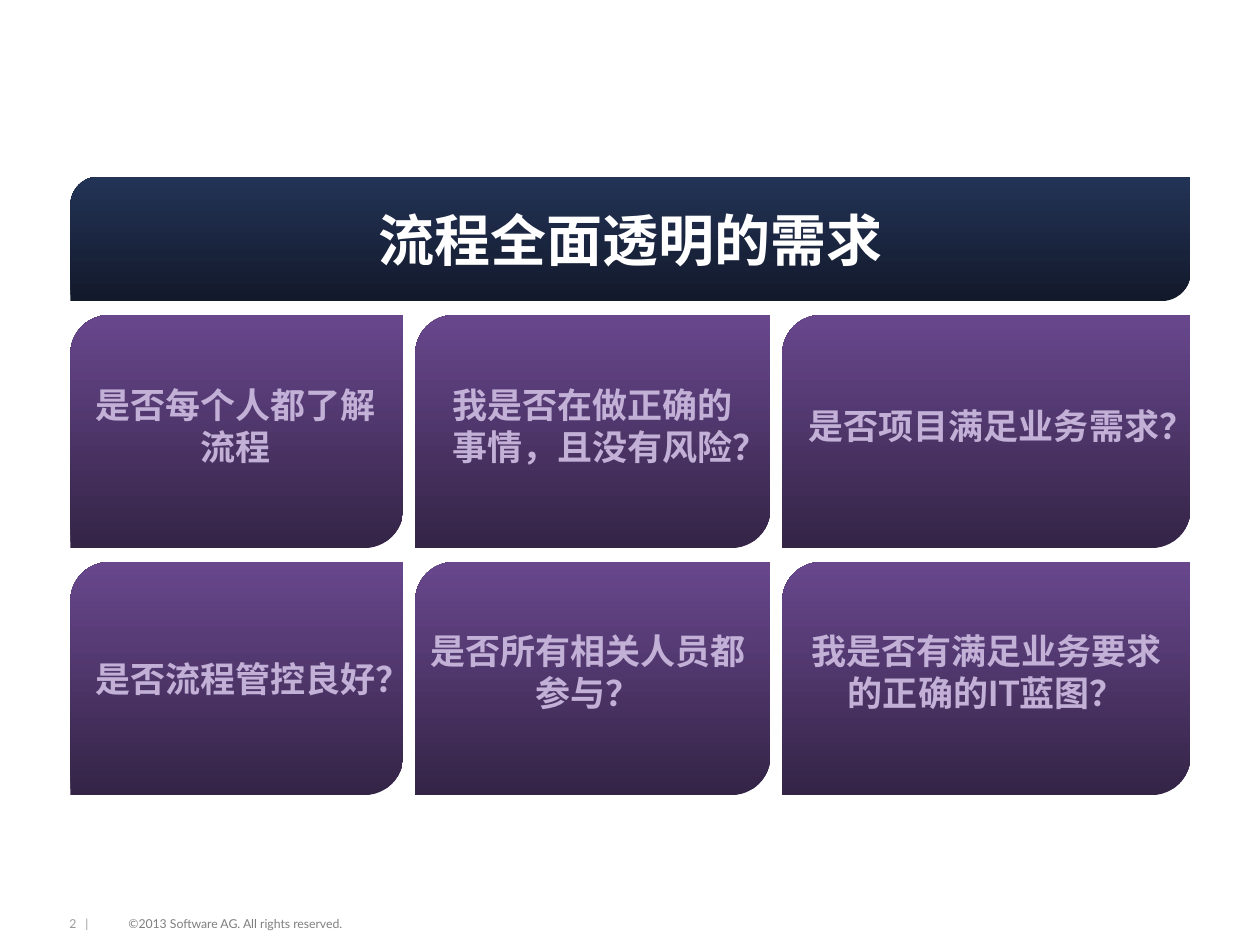
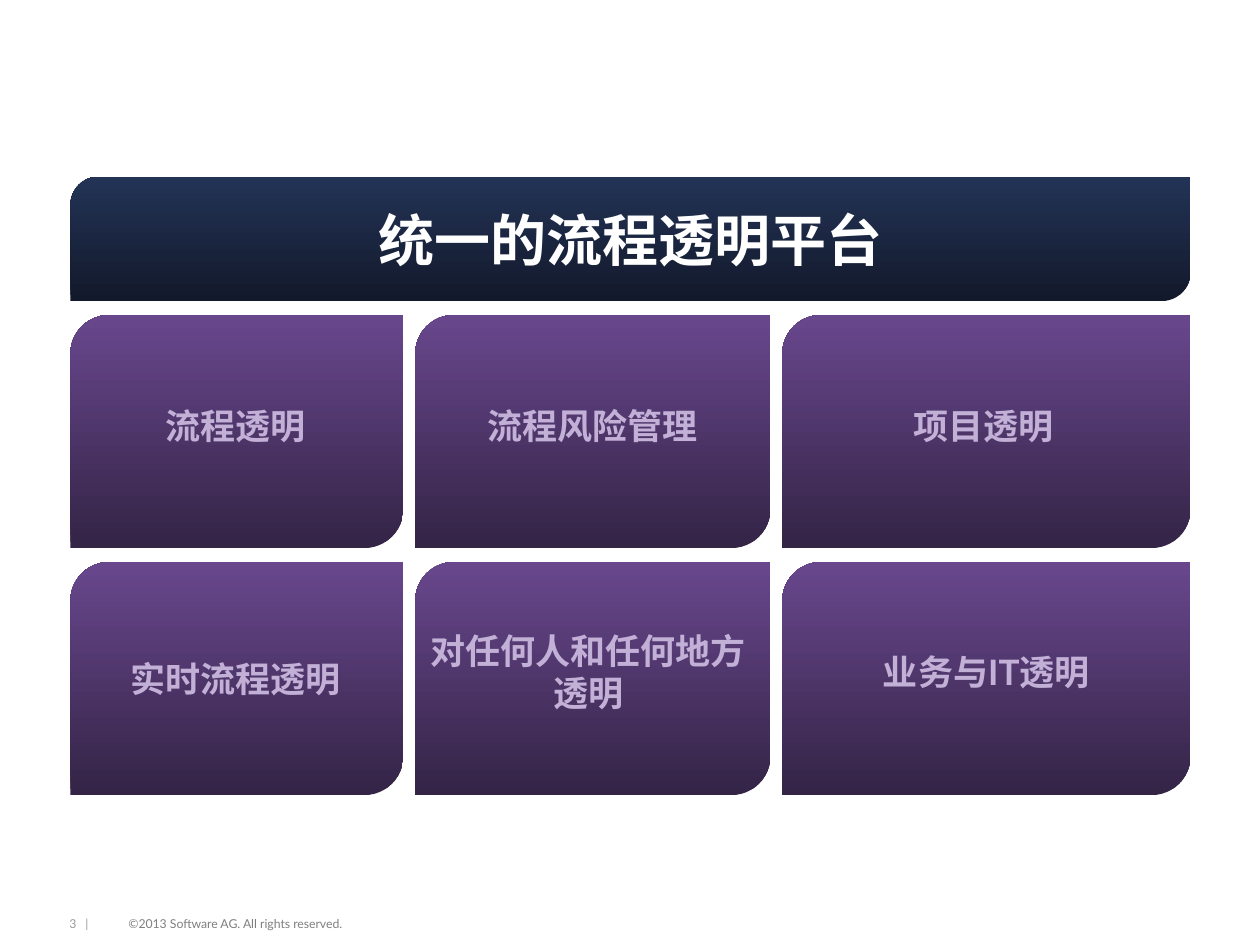
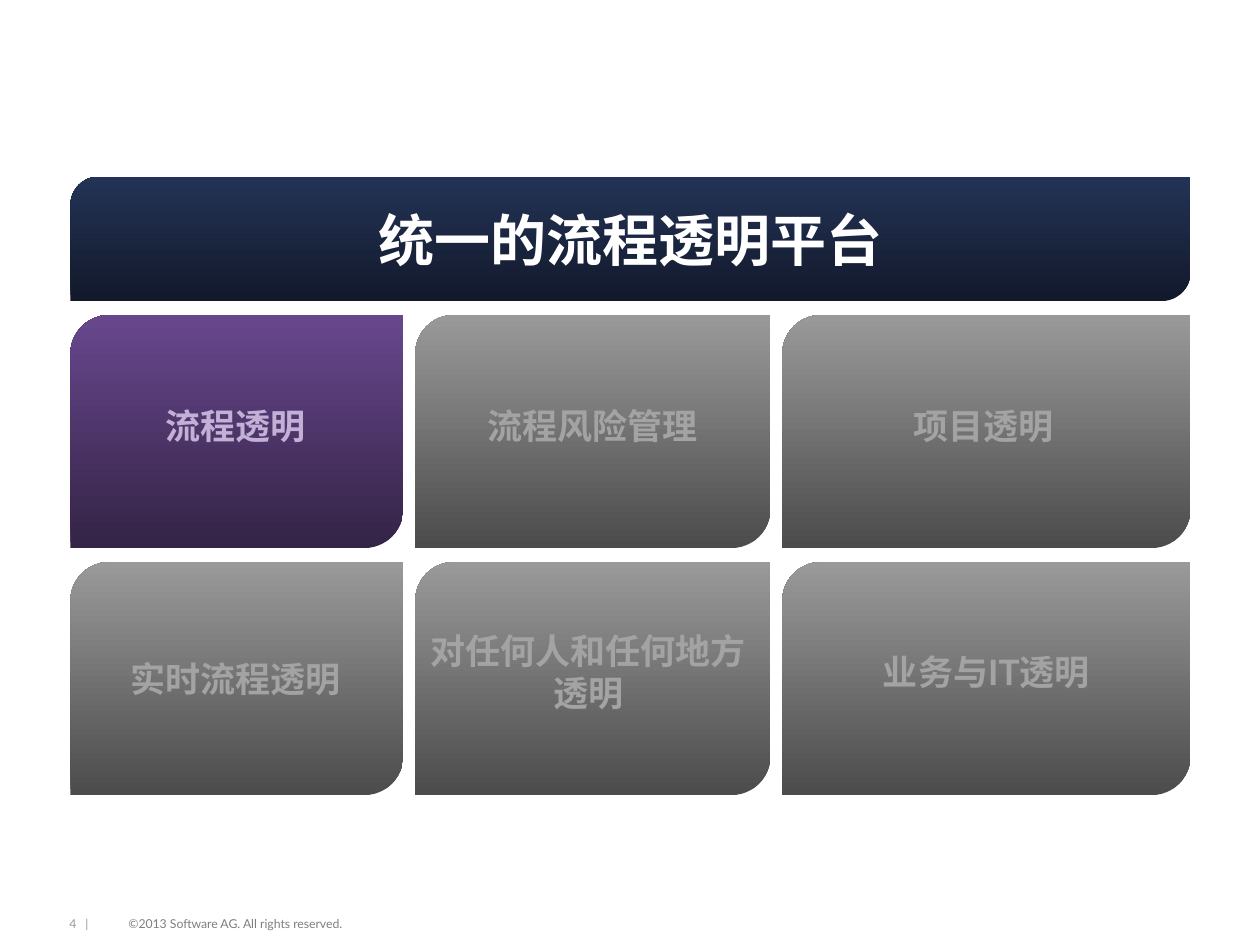
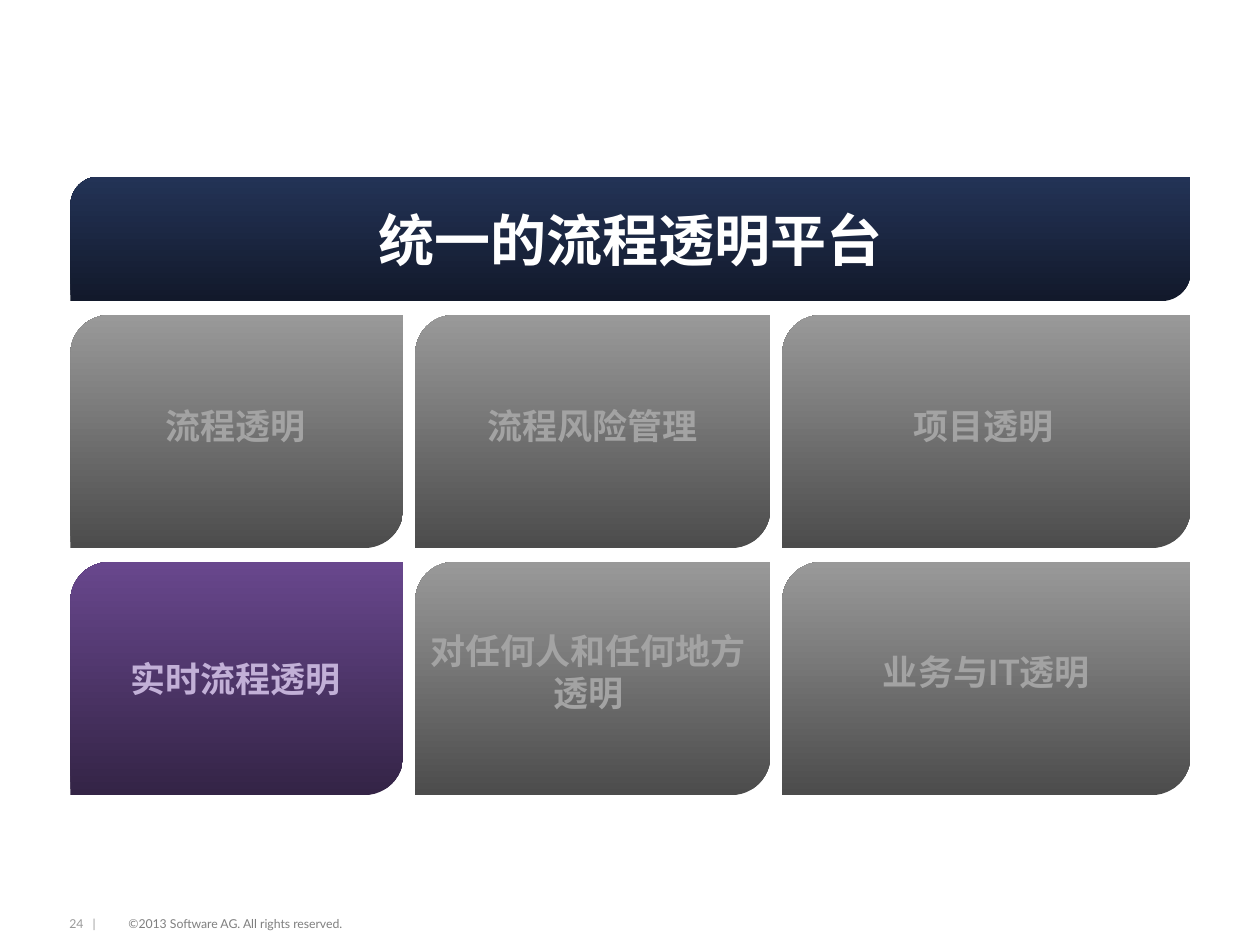
from collections import namedtuple
from math import ceil

from lxml import etree
from pptx import Presentation
from pptx import util as u
from pptx.dml.color import RGBColor
from pptx.enum import shapes, text
from pptx.oxml.ns import qn

Box = namedtuple("Box", "left top width height")

FONT = "Lato"
COLORS = {
    "navy_dark": "12192B", "navy_light": "233356",
    "purple_dark": "342446", "purple_light": "68478D", "purple_text": "C2B0D7",
    "gray_dark": "4C4C4C", "gray_light": "999999", "gray_text": "A3A3A3",
    "white": "FFFFFF", "copyright": "7F7F7F", "number": "999999",
}
BANNER = Box(1.42, 3.56, 22.58, 2.51)
GRID = Box(1.42, 6.35, 22.58, 9.68)
FOOTER = Box(1.4, 18.47, 8.71, 0.3)
COLUMN_WIDTHS = (6.71, 7.16, 8.23)
TILE_HEIGHT = 4.7
LABEL_INSET = 0.1
LABEL_SIZE = 20
LINE_HEIGHT = 0.85
LABEL_PLACES = (
    ((0.25, 6.15, 2.22), (0.58, 5.99, 2.22), (0.13, 7.87, 2.22)),
    ((0.25, 6.15, 2.34), (0.1, 6.78, 2.2), (0.23, 7.77, 2.2)),
)
COPYRIGHT = "©2013 Software AG. All rights reserved."
PLATFORM = "统一的流程透明平台"
NEEDS = (
    ("是否每个人都了解流程", "我是否在做正确的事情，且没有风险？", "是否项目满足业务需求？"),
    ("是否流程管控良好？", "是否所有相关人员都参与？", "我是否有满足业务要求的正确的IT蓝图？"),
)
ANSWERS = (
    ("流程透明", "流程风险管理", "项目透明"),
    ("实时流程透明", "对任何人和任何地方透明", "业务与IT透明"),
)
ALL_TILES = {(row, column) for row in range(2) for column in range(3)}
SLIDES = (
    (2, "流程全面透明的需求", NEEDS, ALL_TILES),
    (3, PLATFORM, ANSWERS, ALL_TILES),
    (4, PLATFORM, ANSWERS, {(0, 0)}),
    (24, PLATFORM, ANSWERS, {(1, 0)}),
)


def lengths(box):
    """Return the four values of a box in centimetres as lengths."""
    return [u.Cm(value) for value in box]


def write(shape, wording, size, color, bold=False, centred=False, inset=0.0):
    """Put one formatted paragraph into a shape."""
    frame = shape.text_frame
    frame.text = wording
    frame.word_wrap = True
    frame.margin_left = frame.margin_right = u.Cm(inset)
    frame.margin_top = frame.margin_bottom = 0
    frame.vertical_anchor = text.MSO_ANCHOR.MIDDLE if centred else text.MSO_ANCHOR.TOP
    paragraph = frame.paragraphs[0]
    paragraph.alignment = text.PP_ALIGN.CENTER if centred else text.PP_ALIGN.LEFT
    for run in paragraph.runs:
        run.font.name = FONT
        run.font.size = u.Pt(size)
        run.font.bold = bold
        run.font.color.rgb = RGBColor.from_string(COLORS[color])


def add_panel(slide, box, tone):
    """Add a gradient panel with two rounded corners."""
    panel = slide.shapes.add_shape(shapes.MSO_SHAPE.ROUND_2_DIAG_RECTANGLE, *lengths(box))
    panel.shadow.inherit = False
    panel.line.fill.background()
    panel.fill.gradient()
    panel.fill.gradient_angle = 90
    for stop, shade in zip(panel.fill.gradient_stops, ("dark", "light")):
        stop.color.rgb = RGBColor.from_string(COLORS[f"{tone}_{shade}"])
    return panel


def add_banner(slide, box, wording):
    """Place the title on a navy panel."""
    panel = add_panel(slide, box, "navy")
    panel.adjustments[0] = 0.23
    title = slide.shapes.title
    title.left, title.top, title.width, title.height = lengths(box)
    write(title, wording, 32, "white", bold=True, centred=True, inset=0.25)
    title.text_frame.auto_size = text.MSO_AUTO_SIZE.NONE
    panel.element.addnext(title.element)


def add_tile(slide, box, wording, place, tone):
    """Add one panel with a label centred on its own line."""
    add_panel(slide, box, tone)
    offset, width, middle = place
    text_width = len(wording.rstrip("？")) * u.Pt(LABEL_SIZE).cm
    height = LINE_HEIGHT * ceil(text_width / (width - 2 * LABEL_INSET))
    label_box = Box(box.left + offset, box.top + middle - height / 2, width, height)
    label = slide.shapes.add_textbox(*lengths(label_box))
    write(label, wording, LABEL_SIZE, f"{tone}_text", bold=True, centred=True, inset=LABEL_INSET)
    label.text_frame.auto_size = text.MSO_AUTO_SIZE.SHAPE_TO_FIT_TEXT


def add_tiles(slide, box, labels, active):
    """Fill a box with two rows of tiles, the inactive ones gray."""
    column_gap = (box.width - sum(COLUMN_WIDTHS)) / (len(COLUMN_WIDTHS) - 1)
    row_step = box.height - TILE_HEIGHT
    for row, row_labels in enumerate(labels):
        left = box.left
        for column, (wording, width) in enumerate(zip(row_labels, COLUMN_WIDTHS)):
            tile = Box(left, box.top + row * row_step, width, TILE_HEIGHT)
            tone = "purple" if (row, column) in active else "gray"
            add_tile(slide, tile, wording, LABEL_PLACES[row][column], tone)
            left += width + column_gap


def add_footer(slide, box, number):
    """Add the page number with its divider, and the copyright line."""
    number_box = slide.shapes.add_textbox(*lengths(box._replace(width=1.09)))
    write(number_box, f"{number}\t|", 7, "number")
    properties = number_box.text_frame.paragraphs[0]._p.get_or_add_pPr()
    tabs = etree.SubElement(properties, qn("a:tabLst"))
    position = u.Cm(0.17 + 0.15 * len(str(number)))
    etree.SubElement(tabs, qn("a:tab"), pos=str(position), algn="l")
    copyright_box = box._replace(left=box.left + 1.19, width=box.width - 1.19)
    write(slide.shapes.add_textbox(*lengths(copyright_box)), COPYRIGHT, 7, "copyright")


def main():
    """Build and save the presentation."""
    presentation = Presentation()
    presentation.slide_width, presentation.slide_height = u.Cm(25.4), u.Cm(19.05)
    title_only = presentation.slide_layouts[5]
    for number, title, labels, active in SLIDES:
        slide = presentation.slides.add_slide(title_only)
        add_footer(slide, FOOTER, number)
        add_banner(slide, BANNER, title)
        add_tiles(slide, GRID, labels, active)
    presentation.save("out.pptx")


if __name__ == "__main__":
    main()
